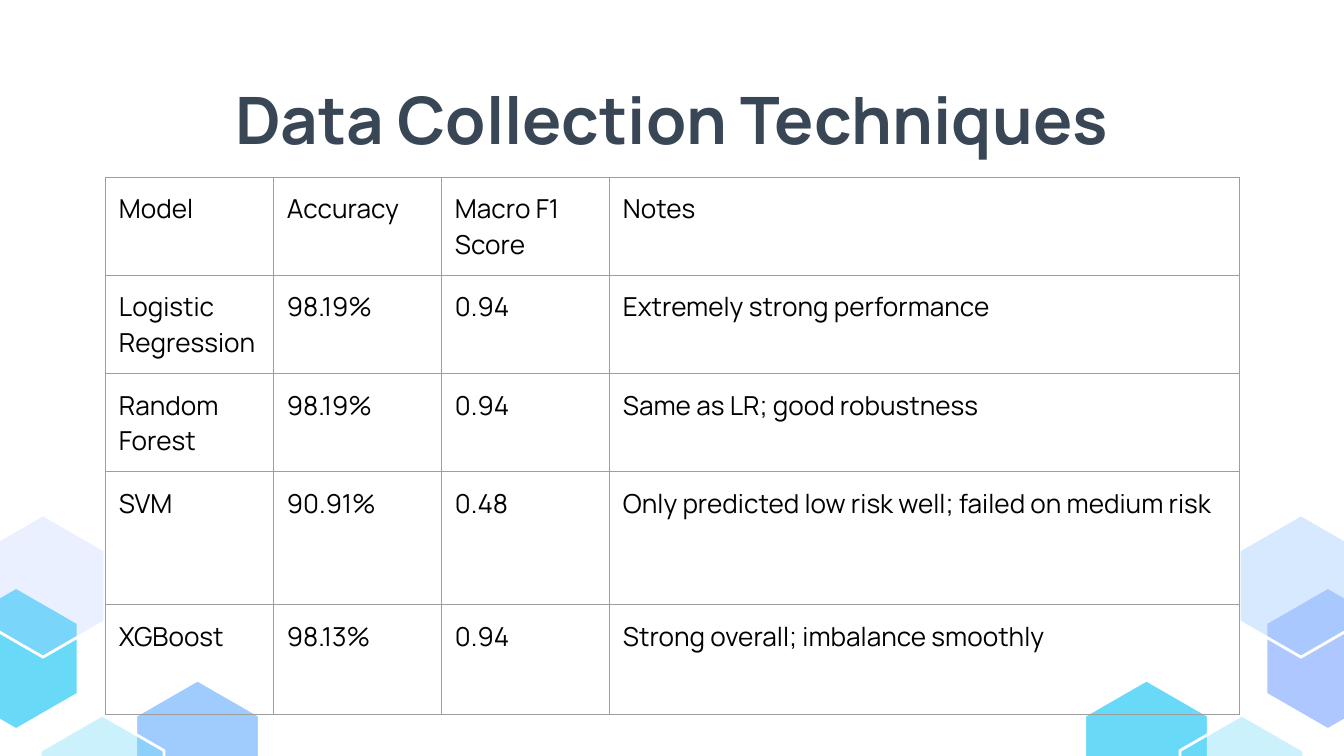
from lxml import etree
from pptx import Presentation
from pptx import util as u
from pptx.dml.color import RGBColor
from pptx.enum import text
from pptx.oxml.ns import qn

WIDTH = 10
HEIGHT = WIDTH * 9 / 16
CONTENT_WIDTH = 8.43
MARGIN = (WIDTH - CONTENT_WIDTH) / 2
FONT = "Manrope"
COLORS = {"title": "384655", "body": "000000", "border": "9E9E9E", "outline": "FFFFFF",
          "sky": "9FCBFD", "cyan": "68DAF8", "violet": "AFC7FF"}

HEX_WIDTH, HEX_HEIGHT = 0.92, 1.06
# Distance from the side edge, centre height, (left, right) colour, (left, right) opacity %
HEXAGONS = [
    (1.47, 5.59, ("sky", "cyan"), (100, 100)),
    (0.76, 5.85, ("cyan", "cyan"), (34, 34)),
    (0.12, 4.9, ("cyan", "violet"), (100, 100)),
    (0.32, 4.36, ("violet", "sky"), (25, 41)),
]

COLUMN_WIDTHS = [1.25, 1.25, 1.25, 4.69]
ROW_HEIGHTS = [0.73, 0.73, 0.73, 0.99, 0.82]
RESULTS = [
    ("Model", "Accuracy", "Macro F1 Score", "Notes"),
    ("Logistic Regression", "98.19%", "0.94", "Extremely strong performance"),
    ("Random Forest", "98.19%", "0.94", "Same as LR; good robustness"),
    ("SVM", "90.91%", "0.48", "Only predicted low risk well; failed on medium risk"),
    ("XGBoost", "98.13%", "0.94", "Strong overall; imbalance smoothly"),
]
INSETS = {f"margin_{side}": u.Inches(0.1) for side in ("left", "right", "top", "bottom")}


def rgb(name):
    return RGBColor.from_string(COLORS[name])


def apply_format(target, **values):
    for name, value in values.items():
        setattr(target, name, value)


def write(frame, words, color, align=text.PP_ALIGN.LEFT, **font):
    paragraph = frame.paragraphs[0]
    paragraph.alignment = align
    run = paragraph.add_run()
    run.text = words
    apply_format(run.font, name=FONT, **font)
    run.font.color.rgb = rgb(color)


def add_hexagon(slide, center_x, center_y, color, opacity):
    """Draw a hexagon standing on its point."""
    half, quarter = HEX_WIDTH / 2, HEX_HEIGHT / 4
    corners = [(0, -2), (-1, -1), (-1, 1), (0, 2), (1, 1), (1, -1)]
    points = [(u.Inches(center_x + x * half), u.Inches(center_y + y * quarter))
              for x, y in corners]
    builder = slide.shapes.build_freeform(*points[0])
    builder.add_line_segments(points[1:], close=True)
    hexagon = builder.convert_to_shape()
    hexagon.shadow.inherit = False
    hexagon.fill.solid()
    hexagon.fill.fore_color.rgb = rgb(color)
    hexagon.line.color.rgb = rgb("outline")
    hexagon.line.width = u.Pt(1.5)
    if opacity < 100:
        fill_color = hexagon.fill._xPr.find(qn("a:solidFill"))[0]
        etree.SubElement(fill_color, qn("a:alpha"), val=str(opacity * 1000))


def add_title(slide, words):
    box = slide.shapes.add_textbox(u.Inches(MARGIN), u.Inches(0.49),
                                   u.Inches(CONTENT_WIDTH), u.Inches(0.63))
    frame = box.text_frame
    apply_format(frame, word_wrap=True, vertical_anchor=text.MSO_ANCHOR.TOP, **INSETS)
    write(frame, words, "title", text.PP_ALIGN.CENTER, size=u.Pt(35), bold=True)


def add_borders(cell):
    properties = cell._tc.get_or_add_tcPr()
    for side in ("lnL", "lnR", "lnT", "lnB"):
        line = etree.SubElement(properties, qn(f"a:{side}"), w=str(u.Pt(0.75)))
        fill = etree.SubElement(line, qn("a:solidFill"))
        etree.SubElement(fill, qn("a:srgbClr"), val=COLORS["border"])


def add_results_table(slide):
    table = slide.shapes.add_table(
        len(ROW_HEIGHTS), len(COLUMN_WIDTHS), u.Inches(MARGIN), u.Inches(1.32),
        u.Inches(sum(COLUMN_WIDTHS)), u.Inches(sum(ROW_HEIGHTS))).table
    apply_format(table, first_row=False, horz_banding=False)
    for column, width in zip(table.columns, COLUMN_WIDTHS):
        column.width = u.Inches(width)
    for row, height, values in zip(table.rows, ROW_HEIGHTS, RESULTS):
        row.height = u.Inches(height)
        for cell, value in zip(row.cells, values):
            apply_format(cell, **INSETS)
            add_borders(cell)
            cell.fill.background()
            write(cell.text_frame, value, "body", size=u.Pt(14))


def main():
    deck = Presentation()
    apply_format(deck, slide_width=u.Inches(WIDTH), slide_height=u.Inches(HEIGHT))
    slide = deck.slides.add_slide(deck.slide_layouts[6])
    for inset, center_y, colors, opacities in HEXAGONS:
        for center_x, color, opacity in zip((inset, WIDTH - inset), colors, opacities):
            add_hexagon(slide, center_x, center_y, color, opacity)
    add_title(slide, "Data Collection Techniques")
    add_results_table(slide)
    deck.save("out.pptx")


if __name__ == "__main__":
    main()
